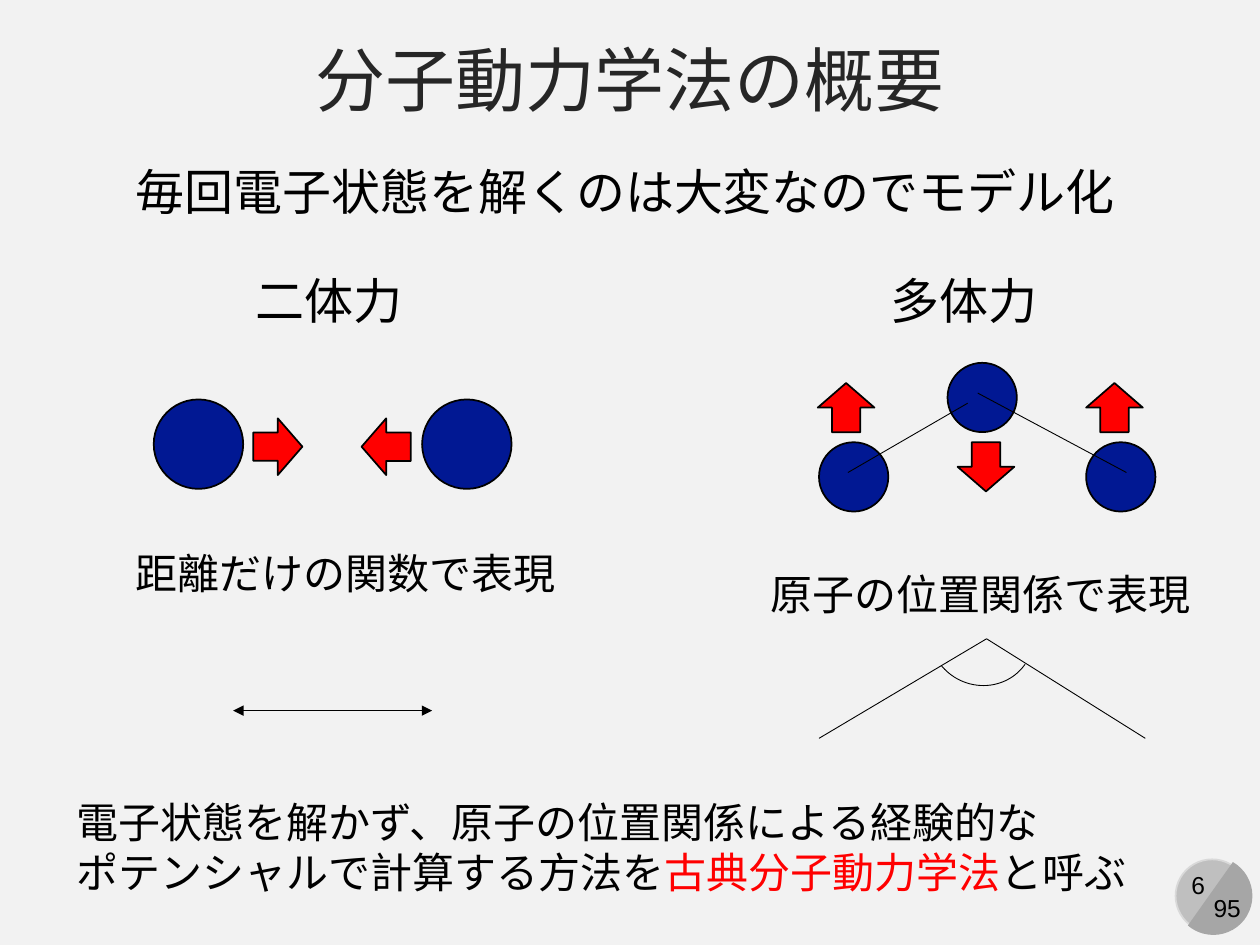
from lxml import etree
from pptx import Presentation
from pptx import util as u
from pptx.dml.color import RGBColor
from pptx.enum import shapes, text
from pptx.oxml.ns import qn

COLORS = {
    "background": "F2F2F2", "title": "262626", "ink": "000000",
    "atom": "011893", "force": "FF0000",
    "badge": "BFBFBF", "badge_edge": "D9D9D9", "badge_shade": "A6A6A6",
}
FONT = "Arial"
SHAPE = shapes.MSO_SHAPE
BOND_WIDTH = 0.5


def rgb(name):
    return RGBColor.from_string(COLORS[name])


def add_label(slide, box, lines, size, wrap=False, align=None, color="ink"):
    """Each line is a list of (words, color) runs or a plain string."""
    label = slide.shapes.add_textbox(*map(u.Inches, box))
    frame = label.text_frame
    frame.word_wrap = wrap
    frame.vertical_anchor = text.MSO_ANCHOR.TOP
    for i, line in enumerate(lines):
        paragraph = frame.paragraphs[0] if i == 0 else frame.add_paragraph()
        paragraph.alignment = align
        runs = [(line, color)] if isinstance(line, str) else line
        for words, run_color in runs:
            run = paragraph.add_run()
            run.text = words
            run.font.name = FONT
            run.font.size = u.Pt(size)
            run.font.color.rgb = rgb(run_color)
    return label


def add_figure(slide, kind, box, fill=None, line="ink", width=1, rotation=0):
    figure = slide.shapes.add_shape(kind, *map(u.Inches, box))
    figure.shadow.inherit = False
    figure.rotation = rotation
    if fill:
        figure.fill.solid()
        figure.fill.fore_color.rgb = rgb(fill)
    else:
        figure.fill.background()
    if line:
        figure.line.color.rgb = rgb(line)
        figure.line.width = u.Pt(width)
    else:
        figure.line.fill.background()
    return figure


def add_atom(slide, left, top, diameter):
    add_figure(slide, SHAPE.OVAL, (left, top, diameter, diameter), "atom")


def add_force(slide, left, top, rotation):
    add_figure(slide, SHAPE.RIGHT_ARROW, (left, top, 0.39, 0.45), "force",
               rotation=rotation)


def add_line(slide, start, end, arrows=False):
    line = slide.shapes.add_connector(
        shapes.MSO_CONNECTOR.STRAIGHT, *map(u.Inches, (*start, *end)))
    line.line.color.rgb = rgb("ink")
    line.line.width = u.Pt(BOND_WIDTH)
    if arrows:
        outline = line.line._get_or_add_ln()
        for tag in ("a:headEnd", "a:tailEnd"):
            etree.SubElement(outline, qn(tag), type="triangle")
    etree.SubElement(line._element.spPr, qn("a:effectLst"))


def add_page_badge(slide):
    center = text.PP_ALIGN.CENTER
    add_figure(slide, SHAPE.OVAL, (9.33, 6.82, 0.58, 0.58), "badge", "badge_edge")
    add_label(slide, (9.29, 6.86, 0.44, 0.34), ["6"], 14, align=center)
    shade = add_figure(slide, SHAPE.CHORD, (9.32, 6.8, 0.62, 0.62),
                       "badge_shade", None, rotation=255)
    shade.adjustments[0], shade.adjustments[1] = 27, 141.42
    add_label(slide, (9.53, 7.04, 0.42, 0.34), ["95"], 14, align=center)


def add_two_body(slide):
    add_label(slide, (1.93, 2.1, 1.65, 0.57), ["二体力"], 28, wrap=True)
    for left in (1.22, 3.35):
        add_atom(slide, left, 3.17, 0.71)
    for left, rotation in ((2.01, 0), (2.87, 180)):
        add_force(slide, left, 3.32, rotation)
    add_label(slide, (0.98, 4.3, 3.57, 0.5), ["距離だけの関数で表現"], 24)
    # Distance between the atoms
    add_line(slide, (1.85, 5.64), (3.43, 5.64), arrows=True)


def add_many_body(slide):
    add_label(slide, (6.97, 2.1, 1.38, 0.57), ["多体力"], 28)
    for left, top in ((6.5, 3.51), (8.62, 3.51), (7.52, 2.88)):
        add_atom(slide, left, top, 0.55)
    for left, top, rotation in ((7.63, 3.48, 90), (6.52, 3.01, 270),
                                (8.65, 3.01, 270)):
        add_force(slide, left, top, rotation)
    # Bonds
    add_line(slide, (7.68, 3.2), (6.73, 3.75))
    add_line(slide, (8.94, 3.75), (7.76, 3.12))
    add_label(slide, (6.02, 4.46, 3.57, 0.5), ["原子の位置関係で表現"], 24)
    # Angle between the bonds
    apex = (7.83, 5.07)
    add_line(slide, (6.5, 5.86), apex)
    add_line(slide, apex, (9.09, 5.86))
    angle = add_figure(slide, SHAPE.ARC, (7.38, 4.6, 0.82, 0.85),
                       width=BOND_WIDTH, rotation=129.9)
    angle.adjustments[0], angle.adjustments[1] = 159.38, 6.85


def main():
    deck = Presentation()
    deck.slide_width, deck.slide_height = u.Inches(10), u.Inches(7.5)
    slide = deck.slides.add_slide(deck.slide_layouts[6])
    slide.background.fill.solid()
    slide.background.fill.fore_color.rgb = rgb("background")

    add_page_badge(slide)

    # Title and lead
    title = add_label(slide, (0, 0.21, 10, 0.82), ["分子動力学法の概要"], 40,
                      wrap=True, align=text.PP_ALIGN.CENTER, color="title")
    title.text_frame.vertical_anchor = text.MSO_ANCHOR.MIDDLE
    add_label(slide, (0.98, 1.23, 8.06, 0.57),
              ["毎回電子状態を解くのは大変なのでモデル化"], 28)

    add_two_body(slide)
    add_many_body(slide)

    # Conclusion
    add_label(slide, (0.51, 6.27, 9.16, 0.91), [
        "電子状態を解かず、原子の位置関係による経験的な",
        [("ポテンシャルで計算する方法を", "ink"),
         ("古典分子動力学法", "force"), ("と呼ぶ", "ink")],
    ], 24, wrap=True)

    deck.save("out.pptx")


if __name__ == "__main__":
    main()
